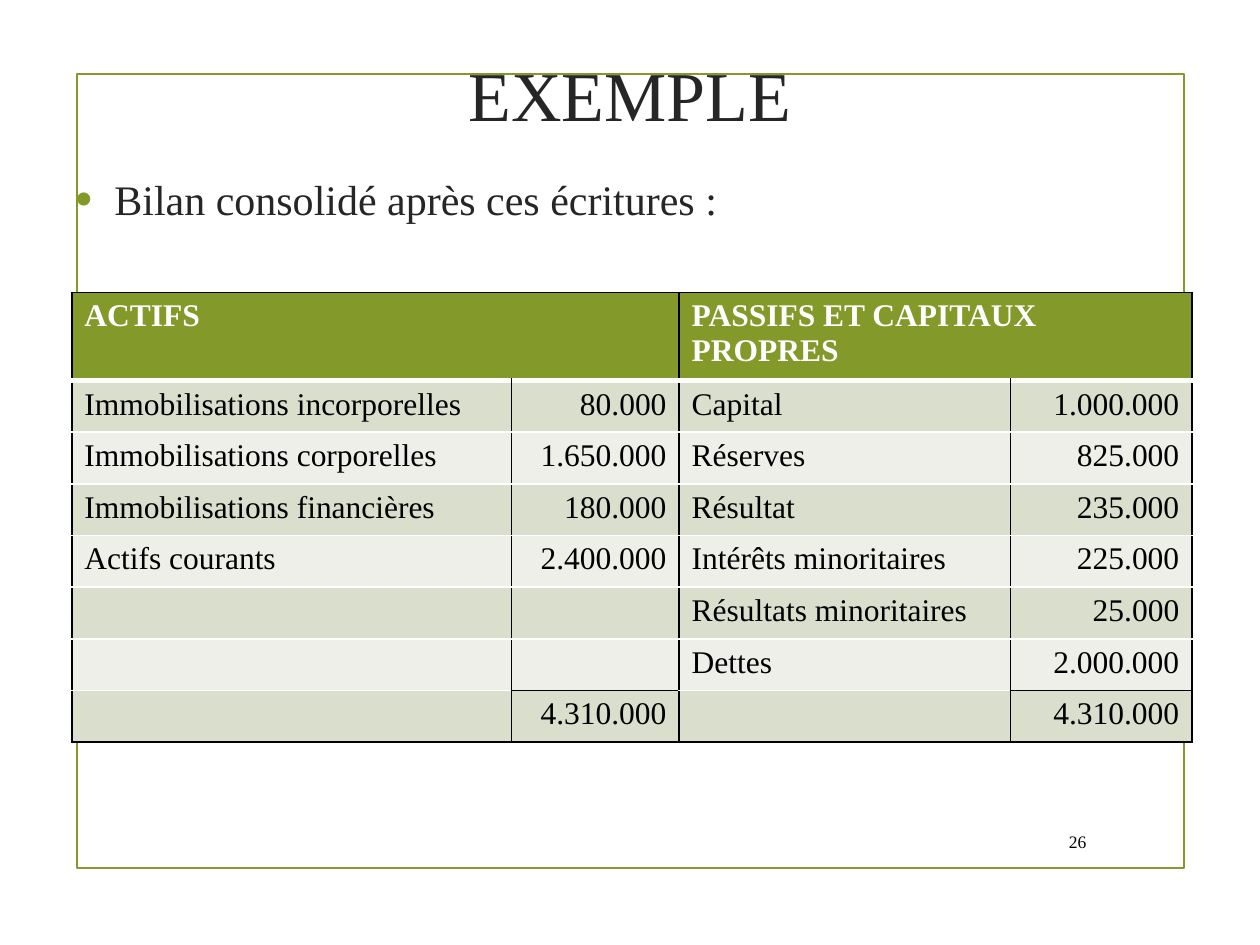
from lxml import etree
from pptx import Presentation, util as u
from pptx.dml.color import RGBColor
from pptx.enum import shapes, text
from pptx.oxml import ns

GREEN, DARK, BLACK, WHITE = "83992A", "262626", "000000", "FFFFFF"
BANDS = ["D9DECD", "EDEFE8"]
COLUMNS = [3.49, 1.33, 2.63, 1.44]
ROWS = [
    ["ACTIFS", "", "PASSIFS ET CAPITAUX PROPRES", ""],
    ["Immobilisations incorporelles", "80.000", "Capital", "1.000.000"],
    ["Immobilisations corporelles", "1.650.000", "Réserves", "825.000"],
    ["Immobilisations financières", "180.000", "Résultat", "235.000"],
    ["Actifs courants", "2.400.000", "Intérêts minoritaires", "225.000"],
    ["", "", "Résultats minoritaires", "25.000"],
    ["", "", "Dettes", "2.000.000"],
    ["", "4.310.000", "", "4.310.000"],
]


def color(value):
    return RGBColor.from_string(value)


def add_element(parent, tag, **attributes):
    return etree.SubElement(parent, ns.qn(tag), attributes)


class Slide:
    font = "Times New Roman"

    def __init__(self, deck):
        self.page = deck.slides.add_slide(deck.slide_layouts[5])

    def set_text(self, frame, words, size, tone, align=text.PP_ALIGN.LEFT, bold=False):
        frame.text = words
        para = frame.paragraphs[0]
        para.alignment = align
        for span in para.runs:
            span.font.name = self.font
            span.font.size = u.Pt(size)
            span.font.bold = bold
            span.font.color.rgb = color(tone)
        return para

    def frame(self, *place):
        box = self.page.shapes.add_shape(shapes.MSO_SHAPE.RECTANGLE, *map(u.Inches, place))
        box.shadow.inherit = False
        box.fill.background()
        box.line.color.rgb = color(GREEN)
        box.line.width = u.Pt(1.25)

    def title(self, words, *place):
        box = self.page.shapes.title
        box.left, box.top, box.width, box.height = map(u.Inches, place)
        box.text_frame.vertical_anchor = text.MSO_ANCHOR.MIDDLE
        self.set_text(box.text_frame, words, 40, DARK, text.PP_ALIGN.CENTER)
        box.element.getparent().append(box.element)

    def label(self, words, size, tone, *place, align=text.PP_ALIGN.LEFT,
              anchor=text.MSO_ANCHOR.TOP):
        box = self.page.shapes.add_textbox(*map(u.Inches, place))
        box.text_frame.word_wrap = True
        box.text_frame.vertical_anchor = anchor
        return self.set_text(box.text_frame, words, size, tone, align)

    def bullet(self, words, *place):
        para = self.label(words, 24, DARK, *place)
        para.space_after = u.Pt(6)
        properties = para._p.get_or_add_pPr()
        properties.set("marL", str(u.Inches(0.31)))
        properties.set("indent", str(u.Inches(-0.31)))
        add_element(add_element(properties, "a:buClr"), "a:srgbClr", val=GREEN)
        add_element(properties, "a:buSzPct", val="115000")
        add_element(properties, "a:buFont", typeface="Arial")
        add_element(properties, "a:buChar", char="•")

    def borders(self, cell, top, bottom, bottom_width):
        properties = cell._tc.get_or_add_tcPr()
        sides = [("L", BLACK, 1), ("R", BLACK, 1), ("T", top, 1), ("B", bottom, bottom_width)]
        for side, tone, width in sides:
            line = add_element(properties, f"a:ln{side}", w=str(u.Pt(width)))
            add_element(add_element(line, "a:solidFill"), "a:srgbClr", val=tone)

    def balance(self, left, top):
        row_height, header_height = 0.41, 0.65
        last = len(ROWS) - 1
        height = header_height + last * row_height
        place = map(u.Inches, (left, top, sum(COLUMNS), height))
        table = self.page.shapes.add_table(len(ROWS), len(COLUMNS), *place).table
        for column, width in zip(table.columns, COLUMNS):
            column.width = u.Inches(width)
        for r, values in enumerate(ROWS):
            header = r == 0
            table.rows[r].height = u.Inches(header_height if header else row_height)
            for c, value in enumerate(values):
                cell = table.cell(r, c)
                amount = c % 2 == 1
                above = BLACK if header or (r == last and amount) else WHITE
                below = BLACK if r == last or (r == last - 1 and amount) else WHITE
                self.borders(cell, above, below, 3 if header else 1)
                cell.fill.solid()
                cell.fill.fore_color.rgb = color(GREEN if header else BANDS[(r - 1) % 2])
                align = text.PP_ALIGN.RIGHT if amount else text.PP_ALIGN.LEFT
                tone = WHITE if header else BLACK
                self.set_text(cell.text_frame, value, 18, tone, align, header)
        for c in (0, 2):
            table.cell(0, c).merge(table.cell(0, c + 1))


def main():
    deck = Presentation()
    deck.slide_width, deck.slide_height = u.Inches(10), u.Inches(7.5)
    slide = Slide(deck)
    slide.frame(0.61, 0.59, 8.79, 6.3)
    slide.title("EXEMPLE", 0.5, 0.31, 9, 0.87)
    slide.bullet("Bilan consolidé après ces écritures :", 0.5, 1.33, 9, 0.86)
    slide.label("26", 10, BLACK, 8.29, 6.52, 0.43, 0.31,
                align=text.PP_ALIGN.RIGHT, anchor=text.MSO_ANCHOR.MIDDLE)
    slide.balance(0.57, 2.32)
    deck.save("out.pptx")


if __name__ == "__main__":
    main()
